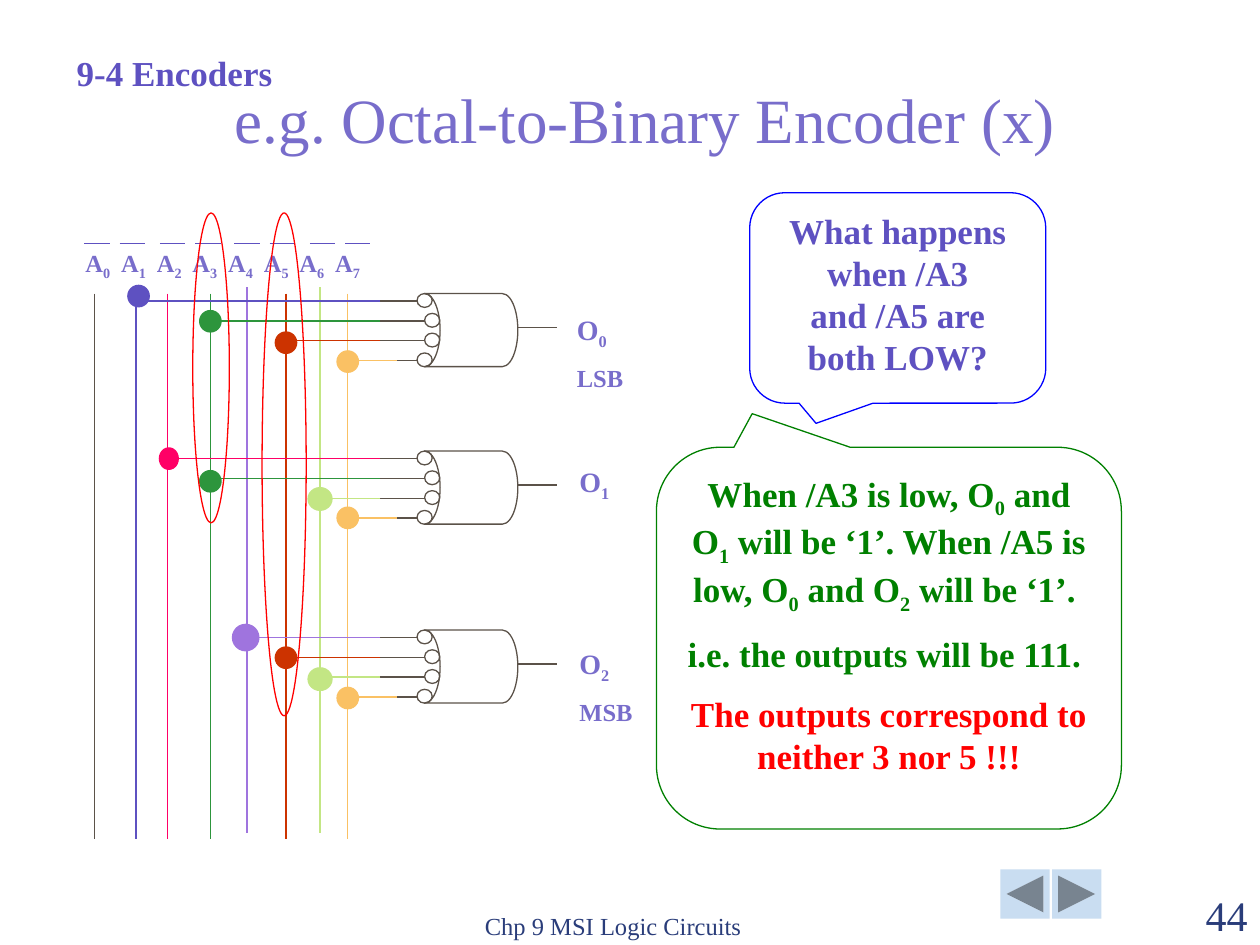
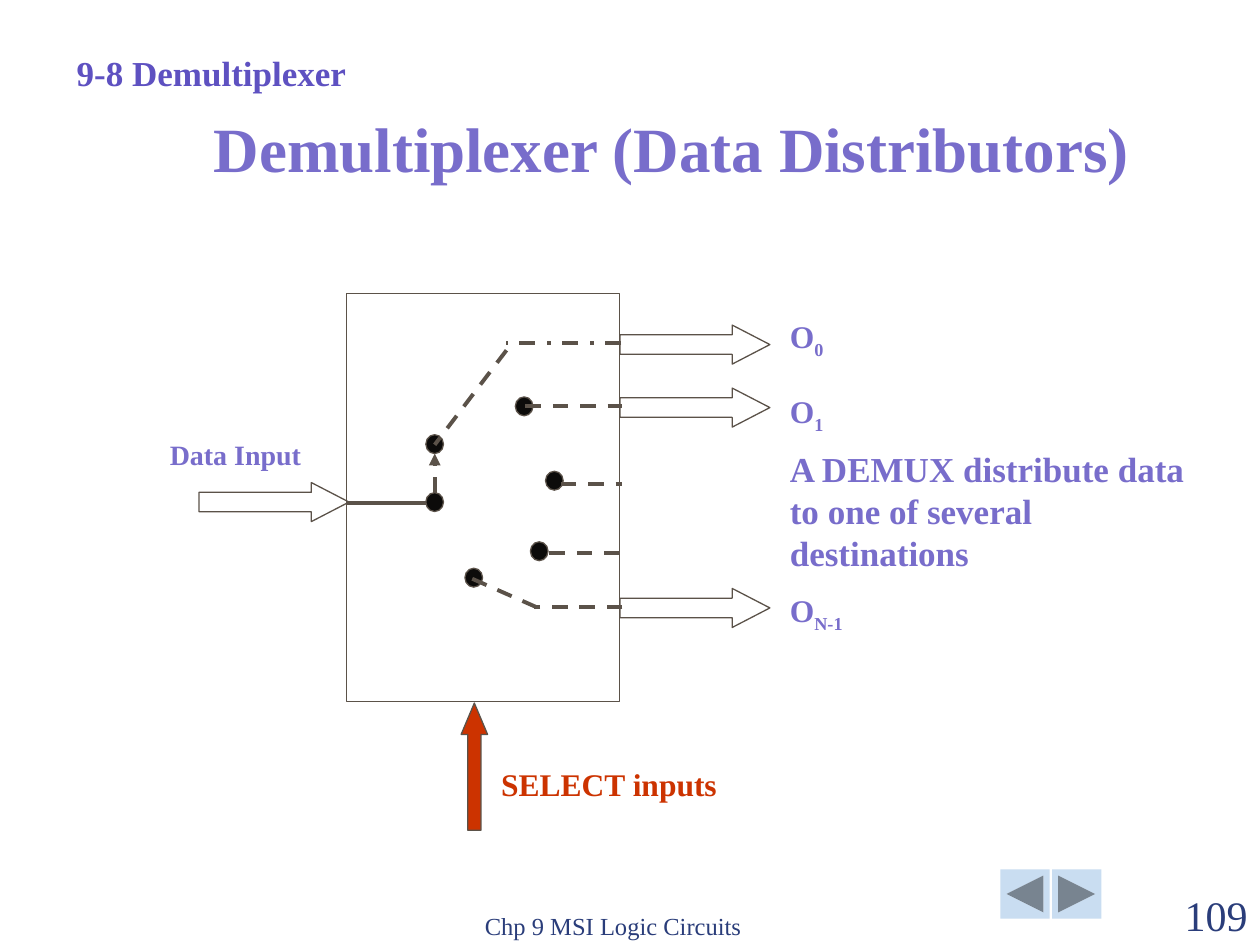
"""Build two slides on encoders and demultiplexers."""
from lxml.etree import SubElement
from pptx import Presentation
from pptx.dml.color import RGBColor
from pptx.enum.dml import MSO_LINE
from pptx.enum.shapes import MSO_CONNECTOR, MSO_SHAPE
from pptx.enum.text import MSO_ANCHOR, MSO_AUTO_SIZE, PP_ALIGN
from pptx.oxml.ns import qn
from pptx.util import Inches, Pt

HUES = {
    "navy": "2A3D7A", "sky": "C9DDF1", "lilac": "786DCB", "blue": "5E51C1",
    "gray": "5B5249", "pink": "FF0066", "green": "2D953C", "plum": "9F74DE",
    "rust": "CC3300", "lime": "C3E684", "gold": "FAC164", "ink": "0C0B0A",
    "red": "FF0000", "pure": "0000FF", "leaf": "008000",
}
FONT = "Times New Roman"


def draw(page, kind, box, line="gray", fill=None, width=0.75, adj=()):
    """Add a preset shape, or a line from point to point when kind is None."""
    spots = [Inches(v) for v in box]
    if kind is None:
        item = page.shapes.add_connector(MSO_CONNECTOR.STRAIGHT, *spots)
    else:
        item = page.shapes.add_shape(kind, *spots)
        item.shadow.inherit = False
        for spot, value in enumerate(adj):
            item.adjustments[spot] = value
        if fill:
            item.fill.solid()
            item.fill.fore_color.rgb = RGBColor.from_string(HUES[fill])
        else:
            item.fill.background()
    if line:
        item.line.color.rgb = RGBColor.from_string(HUES[line])
        item.line.width = Pt(width)
    else:
        item.line.fill.background()
    if kind is None:
        SubElement(item._element.spPr, qn("a:effectLst"))
    return item


def write(item, lines, bold=True, align=PP_ALIGN.LEFT, anchor=MSO_ANCHOR.TOP):
    """Fill an item with (text, size, hue) lines; _x_ marks a subscript."""
    frame = item.text_frame
    frame.word_wrap = True
    frame.auto_size = MSO_AUTO_SIZE.NONE
    frame.vertical_anchor = anchor
    for spot, (text, size, hue) in enumerate(lines):
        para = frame.add_paragraph() if spot else frame.paragraphs[0]
        para.alignment = align
        if spot:
            para.space_before = Pt(size / 2)
        for turn, part in enumerate(text.replace("\n", "_\n_").split("_")):
            if part == "\n":
                para.add_line_break()
            elif part:
                run = para.add_run()
                run.text = part
                run.font.name = FONT
                run.font.size = Pt(size)
                run.font.bold = bold
                run.font.color.rgb = RGBColor.from_string(HUES[hue])
                if turn % 2:
                    run.font._element.set("baseline", "-25000")
    return frame


deck = Presentation()
deck.slide_width, deck.slide_height = Inches(10), Inches(7.5)

heads = [
    ("9-4 Encoders", "e.g. Octal-to-Binary Encoder (x)", (0.87, 0.62, 8.5, 0.65), False, "44"),
    ("9-8 Demultiplexer", "Demultiplexer (Data Distributors)", (1.08, 0.83, 8.5, 0.67), True, "109"),
]
pages = []
for topic, head, box, bold, num in heads:
    page = deck.slides.add_slide(deck.slide_layouts[5])
    pages.append(page)
    draw(page, MSO_SHAPE.ACTION_BUTTON_BACK_OR_PREVIOUS, (7.94, 6.9, 0.39, 0.39), None, "sky")
    draw(page, MSO_SHAPE.ACTION_BUTTON_FORWARD_OR_NEXT, (8.35, 6.9, 0.39, 0.39), None, "sky")
    title = page.shapes.title
    title.left, title.top, title.width, title.height = [Inches(v) for v in box]
    frame = write(title, [(head, 36, "lilac")], bold, PP_ALIGN.CENTER, MSO_ANCHOR.BOTTOM)
    frame.paragraphs[0].line_spacing = 0.7
    foot = page.shapes.add_textbox(Inches(3.75), Inches(7.01), Inches(3.17), Inches(0.5))
    write(foot, [("Chp 9 MSI Logic Circuits", 14, "navy")], False, anchor=MSO_ANCHOR.BOTTOM)
    foot = page.shapes.add_textbox(Inches(9), Inches(7.01), Inches(1), Inches(0.5))
    write(foot, [(num, 24, "navy")], False, PP_ALIGN.RIGHT, MSO_ANCHOR.BOTTOM)
    label = page.shapes.add_textbox(Inches(0.51), Inches(0.36), Inches(3), Inches(0.43))
    write(label, [(topic, 20, "blue")])

coder, demux = pages

gates = [
    (2.33, [(1, 2.35), (3, 2.55), (5, 2.72), (7, 2.87)]),
    (3.58, [(2, 3.64), (3, 3.82), (6, 3.96), (7, 4.11)]),
    (5.0, [(4, 5.06), (5, 5.22), (6, 5.39), (7, 5.54)]),
]
step = 0.157
for top, dots in gates:
    gate = coder.shapes.add_group_shape()
    body = draw(gate, MSO_SHAPE.FLOWCHART_STORED_DATA, (3.37, top, 0.74, 0.58))
    body.rotation = 180
    draw(gate, None, (4.11, top + 0.27, 4.42, top + 0.27))
    for pin, left in enumerate((3.31, 3.37, 3.37, 3.31)):
        high = top + pin * step
        draw(gate, MSO_SHAPE.OVAL, (left, high, 0.12, 0.11))
        draw(gate, None, (left, high + 0.06, 3.06 if pin == 3 else 3, high + 0.06))

rails = [
    (0.75, 2.33, "gray", 0.75, 0, 0), (1.08, 2.33, "blue", 1.1, 0.17, 0.17),
    (1.33, 2.33, "pink", 1.34, 0.15, 0.17), (1.67, 2.33, "green", 1.67, 0.17, 0.17),
    (1.96, 2.28, "plum", 1.95, 0.21, 0.21), (2.27, 2.33, "rust", 2.27, 0.17, 0.17),
    (2.54, 2.28, "lime", 2.54, 0.19, 0.18), (2.76, 2.33, "gold", 2.76, 0.17, 0.17),
]
for rail, top, hue, *rest in rails:
    draw(coder, None, (rail, top, rail, top + 4.33), hue)
for left in (0.67, 0.95, 1.27, 1.55, 1.86, 2.14, 2.46, 2.74):
    draw(coder, None, (left, 1.93, left + 0.2, 1.93), "blue")

names = coder.shapes.add_textbox(Inches(0.58), Inches(1.92), Inches(2.58), Inches(0.33))
frame = write(names, [("\t".join(f"A_{bit}_" for bit in range(8)), 14, "lilac")])
tabs = SubElement(frame.paragraphs[0]._p.get_or_add_pPr(), qn("a:tabLst"))
for bit in range(1, 8):
    SubElement(tabs, qn("a:tab"), pos=str(Inches(0.283 * bit)), algn="l")

for top, dots in gates:
    for pin, (bit, mid) in enumerate(dots):
        rail, start, hue, hub, wide, tall = rails[bit]
        high = top + 0.06 + pin * step
        draw(coder, None, (3.15 if pin == 3 else 3.02, high, hub, high), hue)
        draw(coder, MSO_SHAPE.OVAL, (hub - wide / 2, mid - tall / 2, wide, tall), hue, hue)

outs = [
    (4.48, 2.43, 0.72, [("O_0_", 16, "lilac"), ("LSB", 14, "lilac")]),
    (4.5, 3.64, 0.37, [("O_1_", 16, "lilac")]),
    (4.5, 5.08, 0.72, [("O_2_", 16, "lilac"), ("MSB", 14, "lilac")]),
]
for left, top, tall, lines in outs:
    label = coder.shapes.add_textbox(Inches(left), Inches(top), Inches(0.65), Inches(tall))
    write(label, lines)

talks = [
    ((5.95, 1.53, 2.35, 1.67), "pure", (-0.276, 0.596, 0.167), [
        ("What happens\nwhen /A3\nand /A5 are\nboth LOW?", 20, "blue")]),
    ((5.21, 3.55, 3.69, 3.03), "leaf", (-0.294, -0.588, 0.167), [
        ("When /A3 is low, O_0_ and O_1_ will be ‘1’. "
         "When /A5 is low, O_0_ and O_2_ will be ‘1’. ", 20, "leaf"),
        ("i.e. the outputs will be 111. ", 20, "leaf"),
        ("The outputs correspond to neither 3 nor 5 !!!", 20, "red")]),
]
for box, hue, adj, lines in talks:
    talk = draw(coder, MSO_SHAPE.ROUNDED_RECTANGULAR_CALLOUT, box, hue, adj=adj)
    write(talk, lines, align=PP_ALIGN.CENTER)
for box in ((1.53, 1.69, 0.29, 2.46), (2.08, 1.69, 0.35, 3.99)):
    draw(coder, MSO_SHAPE.OVAL, box, "red")

draw(demux, MSO_SHAPE.RECTANGLE, (2.75, 2.33, 2.17, 3.24))
for left, top in ((4.92, 2.58), (1.58, 3.83), (4.92, 4.67), (4.92, 3.08)):
    draw(demux, MSO_SHAPE.RIGHT_ARROW, (left, top, 1.19, 0.31), adj=(0.5, 0.965))
draw(demux, MSO_SHAPE.UP_ARROW, (3.66, 5.58, 0.21, 1.01), fill="rust", adj=(0.5, 1.186))
draw(demux, None, (3.45, 3.99, 2.75, 3.99), width=2.25)
for left, top in ((3.38, 3.91), (3.38, 3.45), (4.09, 3.15), (4.33, 3.74), (4.21, 4.3), (3.69, 4.51)):
    draw(demux, MSO_SHAPE.OVAL, (left, top, 0.14, 0.15), fill="ink")

paths = [
    (4.94, 4.82, 4.24, 4.82), (4.26, 4.82, 3.74, 4.59), (4.36, 4.39, 4.93, 4.39),
    (4.45, 3.84, 4.94, 3.84), (4.17, 3.22, 4.94, 3.22), (4.93, 2.72, 4.02, 2.72),
    (4.02, 2.78, 3.45, 3.53), (3.45, 3.91, 3.45, 3.6),
]
for box in paths:
    wire = draw(demux, None, box, width=2.25)
    wire.line.dash_style = MSO_LINE.DASH_DOT if box[1] == 2.72 else MSO_LINE.DASH
SubElement(wire._element.spPr.find(qn("a:ln")), qn("a:tailEnd"), type="triangle")

notes = [
    (3.88, 6.02, 2.2, 0.4, "SELECT inputs", 18, "rust"),
    (1.25, 3.42, 1.4, 0.37, "Data Input", 16, "lilac"),
    (6.17, 2.47, 0.8, 0.4, "O_0_", 18, "lilac"),
    (6.17, 3.06, 0.8, 0.4, "O_1_", 18, "lilac"),
    (6.17, 4.64, 0.8, 0.4, "O_N-1_", 18, "lilac"),
    (6.17, 3.5, 3.55, 1.1, "A DEMUX distribute data to one of several destinations", 20, "lilac"),
]
for left, top, wide, tall, *line in notes:
    label = demux.shapes.add_textbox(Inches(left), Inches(top), Inches(wide), Inches(tall))
    write(label, [line])

deck.save("out.pptx")
